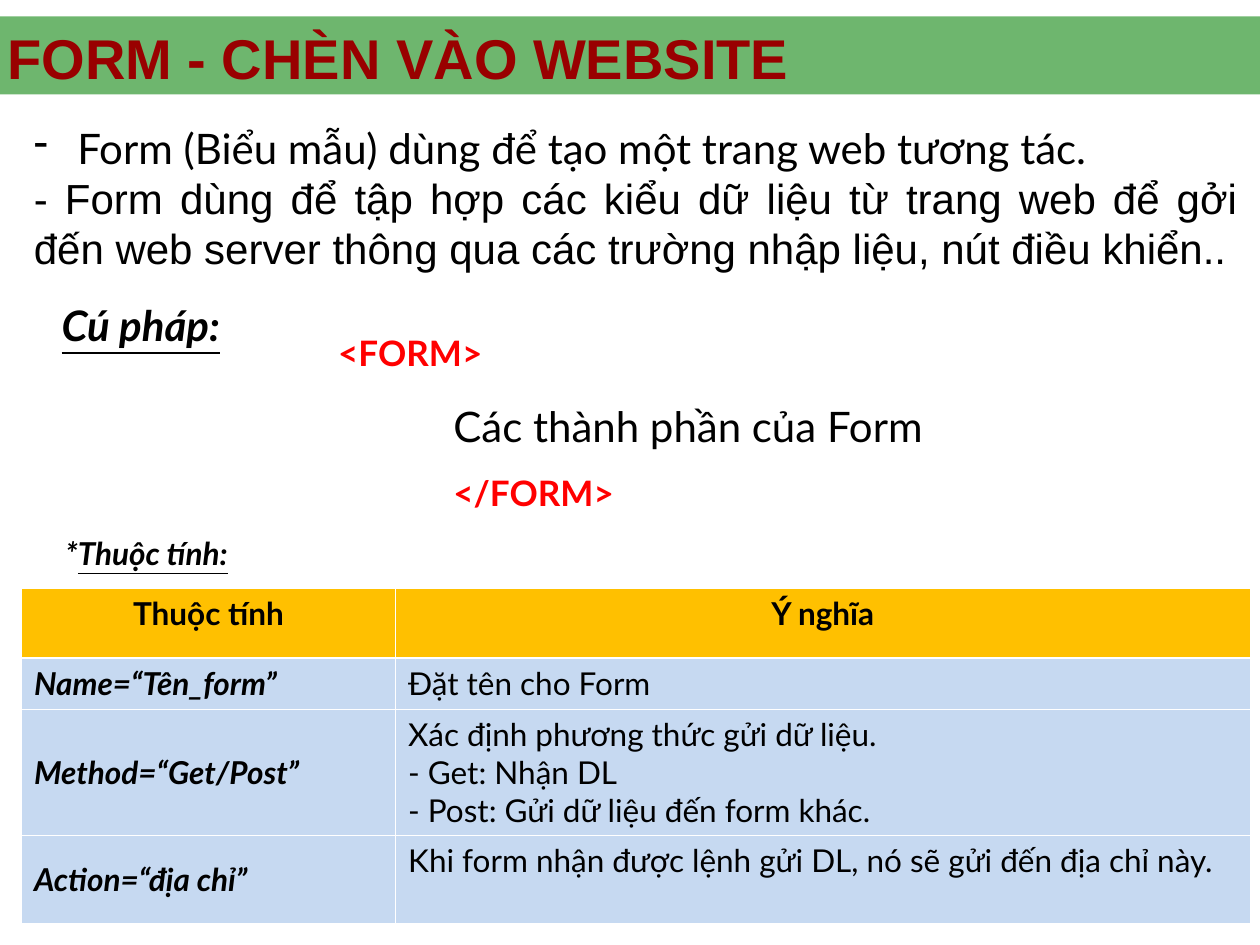
from dataclasses import dataclass

from lxml import etree
from pptx import Presentation
from pptx import util as u
from pptx.dml.color import RGBColor
from pptx.enum import shapes, text
from pptx.oxml.ns import qn

BLACK, RED, WHITE = "000000", "FF0000", "FFFFFF"
LEFT, CENTER, JUSTIFY = text.PP_ALIGN.LEFT, text.PP_ALIGN.CENTER, text.PP_ALIGN.JUSTIFY
TOP, MIDDLE = text.MSO_ANCHOR.TOP, text.MSO_ANCHOR.MIDDLE


@dataclass
class Span:
    words: str
    size: float = 24
    color: str = BLACK
    font: str = "Lato"
    bold: bool = False
    italic: bool = False
    underline: bool = False


@dataclass
class Line:
    spans: list[Span]
    align: int = LEFT
    spacing: float = 1.0
    indent: float = 0
    bullet: str = ""
    tab_stop: float = 0


@dataclass
class Block:
    left: float
    top: float
    width: float
    height: float
    lines: list[Line]
    anchor: int = TOP
    wrap: bool = True
    inset: float = 0.1


@dataclass
class Attribute:
    name: str
    meaning: list[str]
    height: float
    anchor: int = MIDDLE


def rgb(color: str) -> RGBColor:
    return RGBColor.from_string(color)


def write_lines(text_frame, lines: list[Line]) -> None:
    for index, line in enumerate(lines):
        paragraph = text_frame.paragraphs[0] if index == 0 else text_frame.add_paragraph()
        paragraph.alignment = line.align
        paragraph.line_spacing = line.spacing
        properties = paragraph._p.get_or_add_pPr()
        if line.indent:
            properties.set("marL", str(u.Inches(line.indent)))
        if line.bullet:
            properties.set("indent", str(-u.Inches(line.indent)))
            etree.SubElement(properties, qn("a:buChar"), char=line.bullet)
        if line.tab_stop:
            tabs = etree.SubElement(properties, qn("a:tabLst"))
            etree.SubElement(tabs, qn("a:tab"), pos=str(u.Inches(line.tab_stop)), algn="l")
        for span in line.spans:
            run = paragraph.add_run()
            run.text = span.words
            font = run.font
            font.name, font.size = span.font, u.Pt(span.size)
            font.bold, font.italic, font.underline = span.bold, span.italic, span.underline
            font.color.rgb = rgb(span.color)


def draw_block(slide, block: Block) -> None:
    box = slide.shapes.add_textbox(*map(u.Inches, (block.left, block.top, block.width, block.height)))
    frame = box.text_frame
    frame.word_wrap = block.wrap
    frame.vertical_anchor = block.anchor
    frame.margin_left = frame.margin_right = u.Inches(block.inset)
    write_lines(frame, block.lines)


def draw_band(slide) -> None:
    band = slide.shapes.add_shape(shapes.MSO_SHAPE.RECTANGLE, 0, u.Inches(0.13), u.Inches(10), u.Inches(0.62))
    band.shadow.inherit = False
    band.line.fill.background()
    band.fill.solid()
    band.fill.fore_color.rgb = rgb("008000")
    fill_color = band._element.spPr.find(qn("a:solidFill"))[0]
    etree.SubElement(fill_color, qn("a:alpha"), val="57000")


def style_cell(cell, fill: str, top_width: float, bottom_width: float) -> None:
    properties = cell._tc.get_or_add_tcPr()
    for side, width in (("L", 0.45), ("R", 0.45), ("T", top_width), ("B", bottom_width)):
        border = etree.SubElement(properties, qn(f"a:ln{side}"), w=str(u.Pt(width)))
        border_fill = etree.SubElement(border, qn("a:solidFill"))
        etree.SubElement(border_fill, qn("a:srgbClr"), val=WHITE)
    cell.fill.solid()
    cell.fill.fore_color.rgb = rgb(fill)


def draw_attribute_table(slide, headings: list[str], attributes: list[Attribute]) -> None:
    widths = [2.97, 6.78]
    heights = [0.55] + [attribute.height for attribute in attributes]
    table = slide.shapes.add_table(
        len(heights), len(widths), u.Inches(0.17), u.Inches(4.67),
        u.Inches(sum(widths)), u.Inches(sum(heights))).table
    for column, width in zip(table.columns, widths):
        column.width = u.Inches(width)
    for row, height in zip(table.rows, heights):
        row.height = u.Inches(height)
    # Header row
    for column, heading in enumerate(headings):
        cell = table.cell(0, column)
        write_lines(cell.text_frame, [Line([Span(heading, 18, bold=True)], CENTER)])
        style_cell(cell, "FFC000", 0.45, 1.47)
    # One row for each attribute
    for row, attribute in enumerate(attributes, 1):
        name_cell, meaning_cell = table.cell(row, 0), table.cell(row, 1)
        name_cell.vertical_anchor = attribute.anchor
        write_lines(name_cell.text_frame, [Line([Span(attribute.name, 18, bold=True, italic=True)])])
        write_lines(meaning_cell.text_frame, [Line([Span(words, 18)]) for words in attribute.meaning])
        for cell in (name_cell, meaning_cell):
            style_cell(cell, "C6D9F1", 1.47 if row == 1 else 0.45, 0.45)


BLOCKS = [
    # Title
    Block(0, 0.24, 10, 0.42, [
        Line([Span("FORM - CHÈN VÀO WEBSITE", 32, "990000", "Arial", bold=True)]),
    ], MIDDLE, inset=0.06),
    # Introduction
    Block(0.17, 0.92, 9.75, 1.3, [
        Line([Span(" Form (Biểu mẫu) dùng để tạo một trang web tương tác.")], JUSTIFY, indent=0.26, bullet="-"),
        Line([Span("- Form dùng để tập hợp các kiểu dữ liệu từ trang web để gởi đến web server "
                   "thông qua các trường nhập liệu, nút điều khiển..", font="Arial")], JUSTIFY),
    ]),
    # Syntax
    Block(2.5, 2.33, 5, 2.4, [
        Line([Span(" "), Span("<FORM>", 20, RED, bold=True)], spacing=1.5),
        Line([Span("Các thành phần của Form")], spacing=1.5, indent=1),
        Line([Span("</FORM>", 20, RED, bold=True)], spacing=1.5, indent=1),
    ]),
    Block(0.39, 2.33, 1.58, 0.5, [
        Line([Span("Cú pháp:", bold=True, italic=True, underline=True)]),
    ], wrap=False),
    # Attribute heading, whose underline runs on to the tab stop
    Block(0.42, 4.19, 8.75, 0.4, [
        Line([Span("*", 18, bold=True, italic=True),
              Span("Thuộc tính:\t", 18, bold=True, italic=True, underline=True)], tab_stop=1.45),
    ]),
]

ATTRIBUTES = [
    Attribute("Name=“Tên_form”", ["Đặt tên cho Form"], 0.41, TOP),
    Attribute("Method=“Get/Post”", [
        "Xác định phương thức gửi dữ liệu.",
        "- Get: Nhận DL",
        "- Post: Gửi dữ liệu đến form khác.",
    ], 1),
    Attribute("Action=“địa chỉ”", ["Khi form nhận được lệnh gửi DL, nó sẽ gửi đến địa chỉ này."], 0.7),
]


def main() -> None:
    presentation = Presentation()
    presentation.slide_width, presentation.slide_height = u.Inches(10), u.Inches(7.5)
    slide = presentation.slides.add_slide(presentation.slide_layouts[6])
    draw_band(slide)
    for block in BLOCKS:
        draw_block(slide, block)
    draw_attribute_table(slide, ["Thuộc tính", "Ý nghĩa"], ATTRIBUTES)
    presentation.save("out.pptx")


if __name__ == "__main__":
    main()
